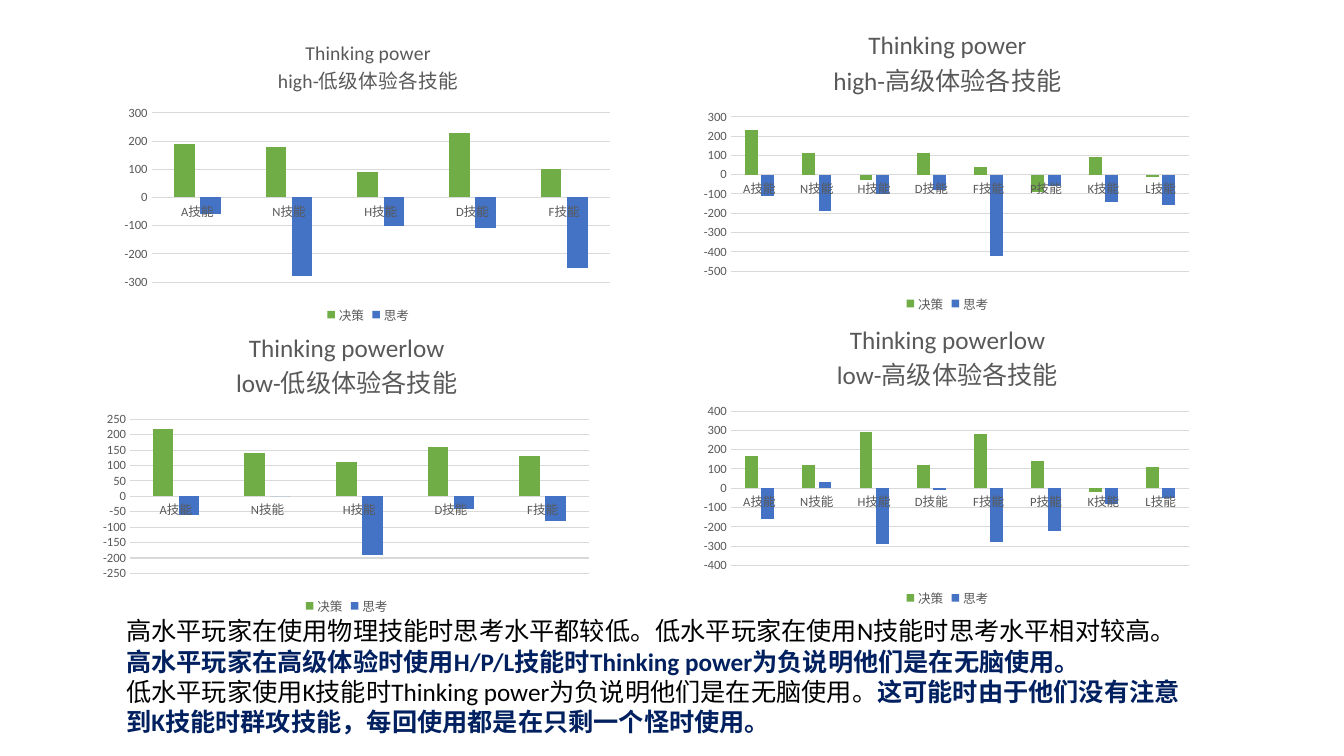
import pptx
import pptx.chart.data
import pptx.dml.color
import pptx.enum.chart
import pptx.enum.text
import pptx.oxml.ns
import pptx.util
from lxml import etree

SLIDE_WIDTH = pptx.util.Inches(13.33)
SLIDE_HEIGHT = pptx.util.Inches(7.5)
FONT = "Calibri"
COLORS = {
    "decision": "70AD47",
    "thinking": "4472C4",
    "label": "595959",
    "grid": "D9D9D9",
    "text": "000000",
    "emphasis": "002060",
}
CHART_SIZE = (37.5, 40)
BASIC_SKILLS = [f"{letter}技能" for letter in "ANHDF"]
ALL_SKILLS = BASIC_SKILLS + [f"{letter}技能" for letter in "PKL"]

# place: left and top in percent of the slide; scale: minimum, maximum, step
SKILL_CHARTS = [
    {
        "place": (51.75, 1.87), "title": "Thinking power\nhigh-高级体验各技能",
        "title_size": 18, "skills": ALL_SKILLS, "scale": (-500, 300, 100),
        "decision": (230, 110, -30, 110, 40, -90, 90, -10),
        "thinking": (-110, -190, -100, -80, -420, -60, -140, -160),
    },
    {
        "place": (8.65, 3.33), "title": "Thinking power\nhigh-低级体验各技能",
        "title_size": 14, "skills": BASIC_SKILLS, "scale": (-300, 300, 100),
        "decision": (190, 180, 90, 230, 100),
        "thinking": (-60, -280, -100, -110, -250),
    },
    {
        "place": (7.05, 41.87), "title": "Thinking powerlow\nlow-低级体验各技能",
        "title_size": 18, "skills": BASIC_SKILLS, "scale": (-250, 250, 50),
        "decision": (220, 140, 110, 160, 130),
        "thinking": (-60, 0, -190, -40, -80),
    },
    {
        "place": (51.75, 40.8), "title": "Thinking powerlow\nlow-高级体验各技能",
        "title_size": 18, "skills": ALL_SKILLS, "scale": (-400, 400, 100),
        "decision": (170, 120, 290, 120, 280, 140, -20, 110),
        "thinking": (-160, 30, -290, -10, -280, -220, -80, -50),
    },
]

FINDINGS = [
    [("高水平玩家在使用物理技能时思考水平都较低。低水平玩家在使用N技能时思考水平相对较高。", False)],
    [("高水平玩家在高级体验时使用H/P/L技能时Thinking power为负说明他们是在无脑使用。", True)],
    [("低水平玩家使用K技能时Thinking power为负说明他们是在无脑使用。", False),
     ("这可能时由于他们没有注意到K技能时群攻技能，每回使用都是在只剩一个怪时使用。", True)],
]


def box(left, top, width, height):
    """Turn percentages of the slide into lengths."""
    return (int(SLIDE_WIDTH * left / 100), int(SLIDE_HEIGHT * top / 100),
            int(SLIDE_WIDTH * width / 100), int(SLIDE_HEIGHT * height / 100))


def rgb(name):
    return pptx.dml.color.RGBColor.from_string(COLORS[name])


def set_attributes(target, values):
    for name, value in values.items():
        setattr(target, name, value)


def set_font(font, size, color, bold=False):
    set_attributes(font, {"name": FONT, "size": pptx.util.Pt(size), "bold": bold})
    font.color.rgb = rgb(color)


def set_grid_line(line):
    line.color.rgb = rgb("grid")
    line.width = pptx.util.Pt(0.75)


def set_plot_layout(chart, top):
    """Fix the inner plot area; top is a share of the chart's height."""
    qn = pptx.oxml.ns.qn
    plot_area = chart.element.find(".//" + qn("c:plotArea"))
    for old_layout in plot_area.findall(qn("c:layout")):
        plot_area.remove(old_layout)
    layout = etree.Element(qn("c:layout"))
    manual = etree.SubElement(layout, qn("c:manualLayout"))
    values = {"layoutTarget": "inner", "xMode": "edge", "yMode": "edge",
              "x": 0.07, "y": top, "w": 0.91, "h": round(0.85 - top, 2)}
    for name, value in values.items():
        etree.SubElement(manual, qn("c:" + name)).set("val", str(value))
    plot_area.insert(0, layout)


def format_axes(chart, scale):
    no_tick = pptx.enum.chart.XL_TICK_MARK.NONE
    for axis in (chart.category_axis, chart.value_axis):
        set_attributes(axis, {"major_tick_mark": no_tick, "minor_tick_mark": no_tick})
        set_font(axis.tick_labels.font, 9, "label")
    set_grid_line(chart.category_axis.format.line)
    value_axis = chart.value_axis
    value_axis.format.line.fill.background()
    set_grid_line(value_axis.major_gridlines.format.line)
    set_attributes(value_axis, dict(zip(
        ("minimum_scale", "maximum_scale", "major_unit"), scale)))


def add_skill_chart(slide, details):
    data = pptx.chart.data.CategoryChartData()
    data.categories = details["skills"]
    data.add_series("决策", details["decision"])
    data.add_series("思考", details["thinking"])
    chart = slide.shapes.add_chart(
        pptx.enum.chart.XL_CHART_TYPE.COLUMN_CLUSTERED,
        *box(*details["place"], *CHART_SIZE), data).chart
    set_font(chart.font, 10, "text")

    chart.has_title = True
    chart.chart_title.include_in_layout = False
    title_frame = chart.chart_title.text_frame
    title_frame.text = details["title"]
    for paragraph in title_frame.paragraphs:
        for run in paragraph.runs:
            set_font(run.font, details["title_size"], "label")

    chart.has_legend = True
    set_attributes(chart.legend, {
        "position": pptx.enum.chart.XL_LEGEND_POSITION.BOTTOM,
        "include_in_layout": False})
    set_font(chart.legend.font, 9, "label")

    plot = chart.plots[0]
    set_attributes(plot, {"gap_width": 219, "overlap": -27, "vary_by_categories": False})
    for series, color in zip(plot.series, ("decision", "thinking")):
        series.invert_if_negative = False
        series.format.fill.solid()
        series.format.fill.fore_color.rgb = rgb(color)
    format_axes(chart, details["scale"])
    set_plot_layout(chart, 0.34 if details["title_size"] == 18 else 0.29)


def add_findings(slide):
    frame = slide.shapes.add_textbox(*box(8.65, 80.8, 81, 21.6)).text_frame
    set_attributes(frame, {
        "word_wrap": True,
        "auto_size": pptx.enum.text.MSO_AUTO_SIZE.SHAPE_TO_FIT_TEXT})
    for index, pieces in enumerate(FINDINGS):
        paragraph = frame.add_paragraph() if index else frame.paragraphs[0]
        for text, emphasized in pieces:
            run = paragraph.add_run()
            run.text = text
            set_font(run.font, 18, "emphasis" if emphasized else "text", emphasized)


def main():
    presentation = pptx.Presentation()
    set_attributes(presentation, {"slide_width": SLIDE_WIDTH, "slide_height": SLIDE_HEIGHT})
    slide = presentation.slides.add_slide(presentation.slide_layouts[6])
    for details in SKILL_CHARTS:
        add_skill_chart(slide, details)
    add_findings(slide)
    presentation.save("out.pptx")


if __name__ == "__main__":
    main()
